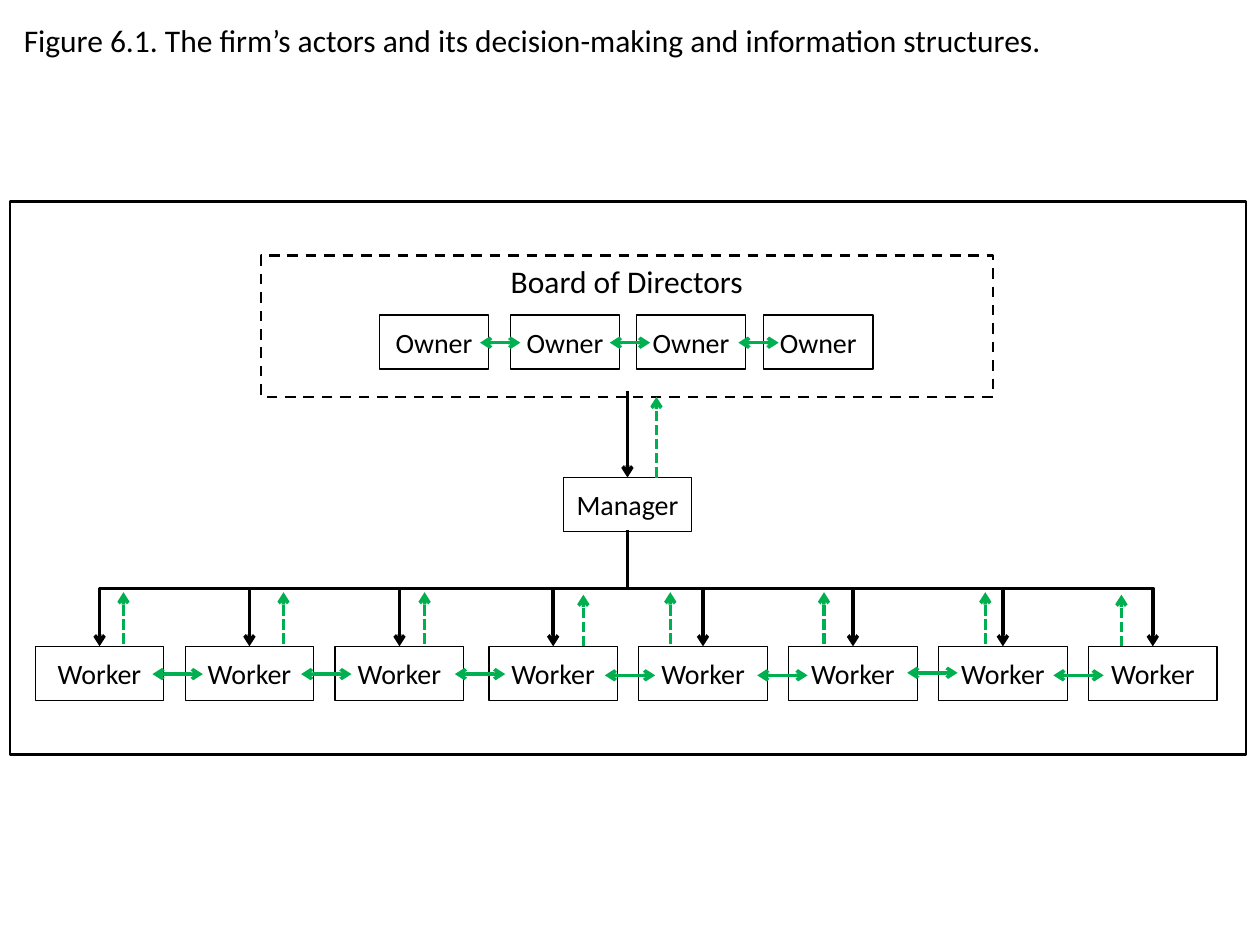
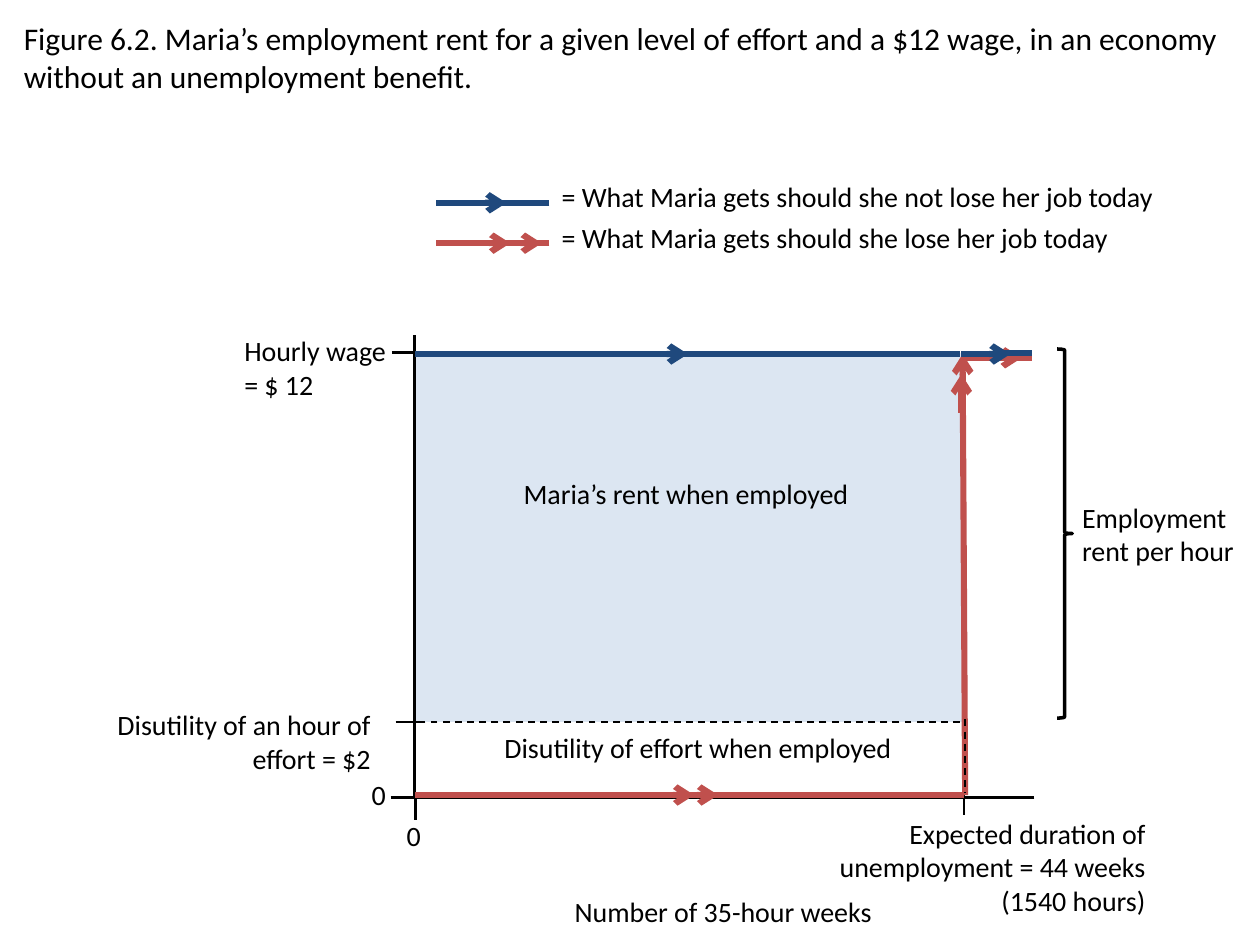
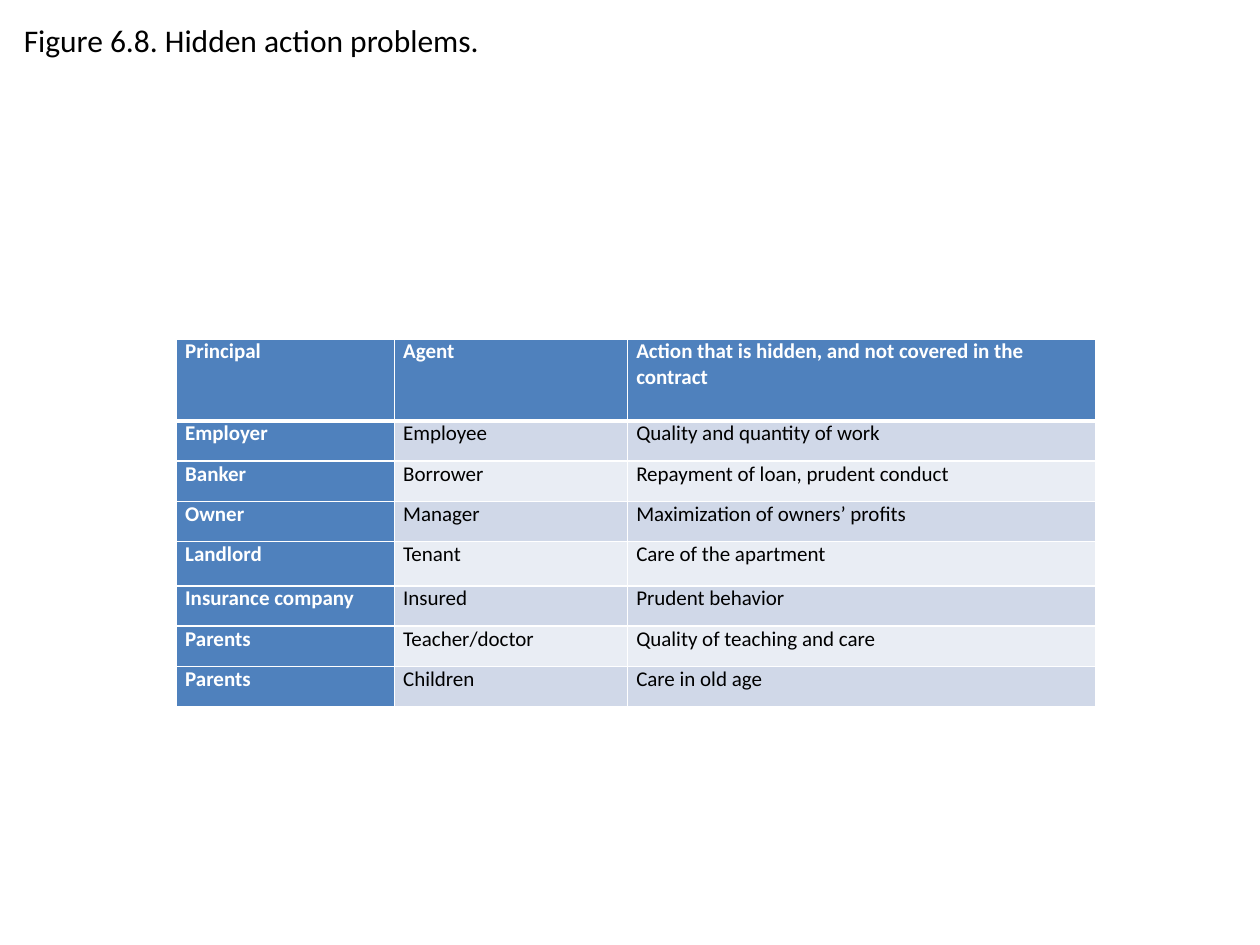
from dataclasses import dataclass
from typing import Any

from lxml.etree import SubElement
from pptx import Presentation
from pptx.dml.color import RGBColor
from pptx.enum.dml import MSO_LINE
from pptx.enum.shapes import MSO_CONNECTOR, MSO_SHAPE
from pptx.enum.text import MSO_ANCHOR, MSO_AUTO_SIZE, PP_ALIGN
from pptx.oxml.ns import qn
from pptx.util import Inches, Pt

COLORS = {
    "ink": "000000",
    "paper": "FFFFFF",
    "information": "00B050",
    "employed": "1F497D",
    "dismissed": "C0504D",
    "rent": "DCE6F2",
    "heading": "4F81BD",
    "odd": "D0D8E8",
    "even": "E9EDF4",
}
FONT = "Calibri"
TITLE_SIZE, BODY_SIZE, TABLE_SIZE = 18, 16, 12
LEFT, CENTER, RIGHT = PP_ALIGN.LEFT, PP_ALIGN.CENTER, PP_ALIGN.RIGHT


def rgb(name):
    return RGBColor.from_string(COLORS[name])


def write(frame, text, size=BODY_SIZE, align=LEFT, color="ink", bold=False):
    frame.word_wrap = True
    paragraph = frame.paragraphs[0]
    paragraph.alignment = align
    run = paragraph.add_run()
    run.text = text
    run.font.name = FONT
    run.font.size = Pt(size)
    run.font.bold = bold
    run.font.color.rgb = rgb(color)


@dataclass
class Area:
    slide: Any
    left: float
    top: float

    def place(self, x, y):
        return Inches(self.left + x), Inches(self.top + y)

    def text(self, x, y, width, height, words, size=BODY_SIZE, align=LEFT):
        label = self.slide.shapes.add_textbox(
            *self.place(x, y), Inches(width), Inches(height))
        write(label.text_frame, words, size, align)
        label.text_frame.auto_size = MSO_AUTO_SIZE.SHAPE_TO_FIT_TEXT

    def shape(self, x, y, width, height, kind=MSO_SHAPE.RECTANGLE,
              fill=None, weight=0.75, dash=None):
        outline = self.slide.shapes.add_shape(
            kind, *self.place(x, y), Inches(width), Inches(height))
        outline.shadow.inherit = False
        if fill:
            outline.fill.solid()
            outline.fill.fore_color.rgb = rgb(fill)
        else:
            outline.fill.background()
        if weight:
            outline.line.color.rgb = rgb("ink")
            outline.line.width = Pt(weight)
            outline.line.dash_style = dash
        else:
            outline.line.fill.background()
        return outline

    def actor(self, x, y, width, role):
        frame = self.shape(x, y, width, 0.43).text_frame
        frame.vertical_anchor = MSO_ANCHOR.MIDDLE
        write(frame, role, align=CENTER)

    def line(self, start, end, color="ink", weight=1.5, dash=None,
             head=False, tail=False, kind=MSO_CONNECTOR.STRAIGHT):
        link = self.slide.shapes.add_connector(
            kind, *self.place(*start), *self.place(*end))
        link.line.color.rgb = rgb(color)
        link.line.width = Pt(weight)
        link.line.dash_style = dash
        stroke = link.line._get_or_add_ln()
        for wanted, tag in ((head, "a:headEnd"), (tail, "a:tailEnd")):
            if wanted:
                SubElement(stroke, qn(tag), type="arrow")
        SubElement(link._element.spPr, qn("a:effectLst"))
        return link

    def order(self, worker, manager):
        middle_x = (worker[0] + manager[0]) / 2
        middle_y = (worker[1] + manager[1]) / 2
        half_run = (worker[0] - manager[0]) / 2
        half_rise = (worker[1] - manager[1]) / 2
        elbow = self.line(
            (middle_x + half_rise, middle_y - half_run),
            (middle_x - half_rise, middle_y + half_run),
            weight=2, head=True, kind=MSO_CONNECTOR.ELBOW)
        elbow._element.spPr.find(qn("a:xfrm")).set("rot", str(90 * 60000))

    def report(self, x, bottom, top):
        self.line((x, bottom), (x, top), "information", 2,
                  MSO_LINE.SQUARE_DOT, tail=True)

    def exchange(self, x, y, length):
        self.line((x + length, y), (x, y), "information", 2,
                  head=True, tail=True)


def add_titled_slide(deck, title, top=0.12, height=0.4):
    slide = deck.slides.add_slide(deck.slide_layouts[6])
    Area(slide, 0.09, top).text(0, 0, 9.91, height, title, TITLE_SIZE)
    return slide


def draw_board(slide, left, top):
    board = Area(slide, left, top)
    directors = board.shape(0, 0, 5.81, 1.12, weight=1.5, dash=MSO_LINE.DASH)
    directors.text_frame.vertical_anchor = MSO_ANCHOR.TOP
    write(directors.text_frame, "Board of Directors", TITLE_SIZE, CENTER)
    for x in (0.94, 1.98, 2.98, 3.99):
        board.actor(x, 0.47, 0.87, "Owner")
    for x in (1.74, 2.77, 3.79):
        board.exchange(x, 0.69, 0.32)


def draw_firm(slide, left, top):
    firm = Area(slide, left, top)
    firm.shape(0, 0, 9.81, 4.39, weight=1.5)
    actor_width, worker_top = 1.02, 3.53
    manager_x, manager_top, manager_bottom = 4.9, 2.19, 2.61
    firm.actor(manager_x - actor_width / 2, manager_top, actor_width, "Manager")
    workers = [0.2 + 1.19 * i + (0.03 if i > 2 else 0) for i in range(8)]
    for x in workers:
        firm.actor(x, worker_top, actor_width, "Worker")
    for x in workers:
        firm.order((x + actor_width / 2, worker_top),
                   (manager_x, manager_bottom))
    draw_board(slide, left + 1.99, top + 0.43)
    firm.line((manager_x, 1.5), (manager_x, manager_top), weight=2, tail=True)
    for x in (0.9, 2.17, 3.29, 5.24, 6.46, 7.74):
        firm.report(x, 3.51, 3.1)
    for x in (4.55, 8.82):
        firm.report(x, 3.53, 3.12)
    firm.report(5.13, manager_top, 1.55)
    talks = ((1.13, 3.75), (2.31, 3.75), (3.53, 3.75), (4.72, 3.76),
             (5.93, 3.76), (7.12, 3.74), (8.28, 3.76))
    for x, y in talks:
        firm.exchange(x, y, 0.4)


def draw_legend(slide, left, top):
    legend = Area(slide, left, top)
    entries = (
        ("employed", 0.24, (0.56,),
         "= What Maria gets should she not lose her job today"),
        ("dismissed", 0.56, (0.59, 0.84),
         "= What Maria gets should she lose her job today"),
    )
    for color, y, arrows, meaning in entries:
        legend.line((0.9, y), (0, y), color, 3.5)
        for x in arrows:
            legend.line((x, y), (x - 0.55, y), color, 3.5, head=True)
        legend.text(0.9, y - 0.23, 5.57, 0.37, meaning)


def draw_rent_chart(slide, left, top):
    chart = Area(slide, left, top)
    effort, base, duration, end = 2.93, 3.53, 4.36, 4.9

    def path_line(start, finish, color, arrow=False):
        chart.line(start, finish, color, 3.5, head=arrow)

    chart.shape(0, 0, duration, effort, fill="rent", weight=0)
    chart.text(0.55, 0.93, 3.21, 0.61, "Maria’s rent when employed",
               align=CENTER)
    for start, finish in (
            ((0, -0.14), (0, base)),
            ((end + 0.02, base), (0, base)),
            ((0.01, base), (0.01, base + 0.18)),
            ((-0.19, base), (0, base)),
            ((duration, base - 0.06), (duration, base + 0.14)),
            ((-0.18, 0), (0, 0)),
            ((-0.15, effort), (0.05, effort))):
        chart.line(start, finish)
    for x, y, width, height, words, align in (
            (-0.16, 3.65, 0.43, 0.37, "0", LEFT),
            (-0.44, 3.32, 0.28, 0.37, "0", LEFT),
            (-0.02, 4.25, 4.94, 0.37, "Number of 35-hour weeks", CENTER),
            (3.03, 3.63, 2.87, 0.91,
             "Expected duration of unemployment = 44 weeks (1540 hours)", RIGHT),
            (-1.45, -0.2, 1.39, 0.64, "Hourly wage = $ 12", LEFT),
            (-2.62, 2.77, 2.37, 0.64,
             "Disutility of an hour of effort = $2", RIGHT),
            (5.2, 1.12, 1.66, 0.64, "Employment rent per hour", LEFT),
            (0.55, 2.95, 3.4, 0.37,
             "Disutility of effort when employed", CENTER)):
        chart.text(x, y, width, height, words, align=align)

    idle = base - 0.02
    path_line((duration, idle), (0, idle), "dismissed")
    for x in (2.22, 2.41):
        path_line((x, idle), (x - 0.56, idle), "dismissed", True)
    path_line((4.33, 0.01), (0, 0.01), "employed")
    path_line((2.17, 0.01), (0, 0.01), "employed", True)
    chart.line((4.33, effort), (0, effort), weight=1, dash=MSO_LINE.DASH)
    path_line((4.35, 0.01), (4.37, idle), "dismissed", True)
    path_line((4.34, 0.17), (4.34, 0.48), "dismissed", True)
    path_line((4.82, 0.04), (4.7, 0.04), "dismissed", True)
    path_line((end, 0.04), (4.35, 0.04), "dismissed")
    path_line((4.73, 0.01), (4.34, 0.01), "employed", True)
    path_line((end, 0), (4.59, 0), "employed")
    chart.line((4.37, 2.91), (4.37, 3.49), weight=1, dash=MSO_LINE.DASH)
    chart.shape(5.1, -0.03, 0.12, effort, MSO_SHAPE.RIGHT_BRACE, weight=2)


def border_cell(cell, top, bottom):
    properties = cell._tc.get_or_add_tcPr()
    for side, weight in (("L", 1), ("R", 1), ("T", top), ("B", bottom)):
        edge = SubElement(properties, qn(f"a:ln{side}"), w=str(Pt(weight)))
        paint = SubElement(edge, qn("a:solidFill"))
        SubElement(paint, qn("a:srgbClr"), val=COLORS["paper"])


def draw_problem_table(slide, left, top):
    problems = (
        ("Principal", "Agent",
         "Action that is hidden, and not covered in the contract"),
        ("Employer", "Employee", "Quality and quantity of work"),
        ("Banker", "Borrower", "Repayment of loan, prudent conduct"),
        ("Owner", "Manager", "Maximization of owners’ profits"),
        ("Landlord", "Tenant", "Care of the apartment"),
        ("Insurance company", "Insured", "Prudent behavior"),
        ("Parents", "Teacher/doctor", "Quality of teaching and care"),
        ("Parents", "Children", "Care in old age"),
    )
    widths = (1.73, 1.85, 3.72)
    heights = (0.65, 0.32, 0.32, 0.32, 0.35, 0.32, 0.32, 0.32)
    table = slide.shapes.add_table(
        len(problems), len(widths), *Area(slide, left, top).place(0, 0),
        Inches(sum(widths)), Inches(sum(heights))).table
    table.horz_banding = False
    for column, width in zip(table.columns, widths):
        column.width = Inches(width)
    for i, (row, height) in enumerate(zip(table.rows, heights)):
        row.height = Inches(height)
        for j, cell in enumerate(row.cells):
            heading = i == 0 or j == 0
            cell.margin_left = cell.margin_right = Inches(0.07)
            cell.margin_top = cell.margin_bottom = 0
            border_cell(cell, 3 if i == 1 else 1, 3 if i == 0 else 1)
            cell.fill.solid()
            band = "odd" if i % 2 else "even"
            cell.fill.fore_color.rgb = rgb("heading" if heading else band)
            write(cell.text_frame, problems[i][j], TABLE_SIZE,
                  color="paper" if heading else "ink", bold=heading)


def build():
    deck = Presentation()
    deck.slide_width, deck.slide_height = Inches(10), Inches(7.5)
    firm = add_titled_slide(
        deck, "Figure 6.1. The firm’s actors and its decision-making "
        "and information structures.")
    draw_firm(firm, 0.08, 1.6)
    rent = add_titled_slide(
        deck, "Figure 6.2. Maria’s employment rent for a given level of effort "
        "and a $12 wage, in an economy without an unemployment benefit.",
        0.1, 0.71)
    draw_rent_chart(rent, 3.29, 2.8)
    draw_legend(rent, 3.46, 1.37)
    hidden_action = add_titled_slide(
        deck, "Figure 6.8. Hidden action problems.")
    draw_problem_table(hidden_action, 1.4, 2.69)
    deck.save("out.pptx")


build()
